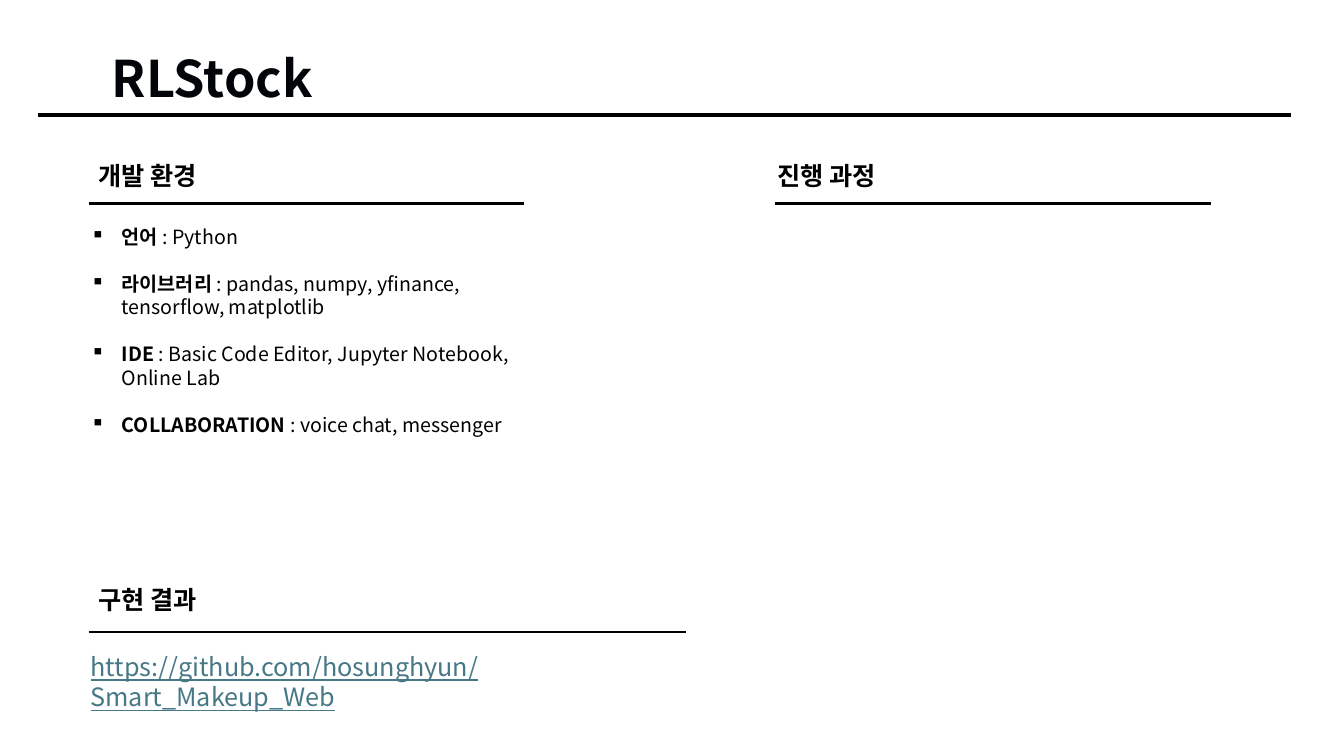
from dataclasses import dataclass

from lxml import etree
from pptx import Presentation
from pptx import util as u
from pptx.dml.color import RGBColor
from pptx.enum import shapes, text
from pptx.oxml import ns


@dataclass(frozen=True)
class Theme:
    font: str = "Noto Sans CJK KR"
    ink: str = "000000"
    title: str = "010409"
    link: str = "467886"
    big: int = 36
    head: int = 18
    body: int = 14


@dataclass(frozen=True)
class Part:
    label: str
    left: float
    top: float
    start: float
    end: float
    rule: float


@dataclass(frozen=True)
class Item:
    name: str
    value: str


THEME = Theme()
PARTS = [
    Part("개발 환경", 0.88, 1.54, 0.88, 5.2, 2.02),
    Part("진행 과정", 7.61, 1.54, 7.69, 12.01, 2.02),
    Part("구현 결과", 0.88, 5.75, 0.88, 6.8, 6.27),
]
ITEMS = [
    Item("언어 ", ": Python"),
    Item("라이브러리 ", ": pandas, numpy, yfinance, tensorflow, matplotlib"),
    Item("IDE", " : Basic Code Editor, Jupyter Notebook, Online Lab"),
    Item("COLLABORATION", " : voice chat, messenger"),
]


def write(para, words: str, *, size: int = THEME.body, color: str = THEME.ink,
          bold: bool = False, line: bool = False) -> None:
    """Add one formatted run for Latin and Korean text."""
    run = para.add_run()
    run.text = words
    font = run.font
    font.name, font.size, font.bold = THEME.font, u.Pt(size), bold
    font.color.rgb = RGBColor.from_string(color)
    if line:
        font.underline = True
    east = etree.SubElement(run._r.get_or_add_rPr(), ns.qn("a:ea"))
    east.set("typeface", THEME.font)


def place(shape, left: float, top: float, width: float, height: float) -> None:
    shape.left, shape.top = u.Inches(left), u.Inches(top)
    shape.width, shape.height = u.Inches(width), u.Inches(height)


def add_box(slide, left: float, top: float, width: float, height: float,
            wrap: bool = False):
    box = slide.shapes.add_textbox(0, 0, 0, 0)
    place(box, left, top, width, height)
    box.text_frame.word_wrap = wrap
    return box.text_frame


def add_rule(slide, start: float, end: float, y: float, weight: float = 2) -> None:
    rule = slide.shapes.add_connector(
        shapes.MSO_CONNECTOR.STRAIGHT,
        u.Inches(start), u.Inches(y), u.Inches(end), u.Inches(y))
    rule.line.color.rgb = RGBColor.from_string(THEME.ink)
    rule.line.width = u.Pt(weight)
    etree.SubElement(rule._element.spPr, ns.qn("a:effectLst"))


def add_part(slide, part: Part) -> None:
    frame = add_box(slide, part.left, part.top, 1.23, 0.4)
    write(frame.paragraphs[0], part.label, size=THEME.head, bold=True)
    add_rule(slide, part.start, part.end, part.rule)


def add_list(slide, items: list[Item]) -> None:
    frame = add_box(slide, 0.8, 2.18, 4.53, 2.22, wrap=True)
    for i, item in enumerate(items):
        para = frame.paragraphs[0] if i == 0 else frame.add_paragraph()
        if i:
            para.space_before = u.Pt(16.8)
        props = para._p.get_or_add_pPr()
        props.set("marL", str(u.Inches(0.31)))
        props.set("indent", str(-u.Inches(0.31)))
        etree.SubElement(props, ns.qn("a:buChar")).set("char", "▪")
        write(para, item.name, bold=True)
        write(para, item.value)


def main() -> None:
    deck = Presentation()
    deck.slide_width, deck.slide_height = u.Inches(13.33), u.Inches(7.5)
    slide = deck.slides.add_slide(deck.slide_layouts[5])

    # Title and its rule
    title = slide.shapes.title
    place(title, 0.88, 0.42, 2.45, 0.71)
    frame = title.text_frame
    frame.word_wrap = False
    frame.auto_size = text.MSO_AUTO_SIZE.NONE
    frame.vertical_anchor = text.MSO_ANCHOR.TOP
    frame.paragraphs[0].alignment = text.PP_ALIGN.CENTER
    write(frame.paragraphs[0], "RLStock", size=THEME.big, color=THEME.title, bold=True)
    add_rule(slide, 0.38, 12.8, 1.14, 3)

    # Section headings
    for part in PARTS:
        add_part(slide, part)

    # Tools and result address
    add_list(slide, ITEMS)
    link = add_box(slide, 0.8, 6.41, 6.27, 0.4, wrap=True)
    write(link.paragraphs[0], "https://github.com/hosunghyun/Smart_Makeup_Web",
          size=THEME.head, color=THEME.link, line=True)

    deck.save("out.pptx")


if __name__ == "__main__":
    main()
